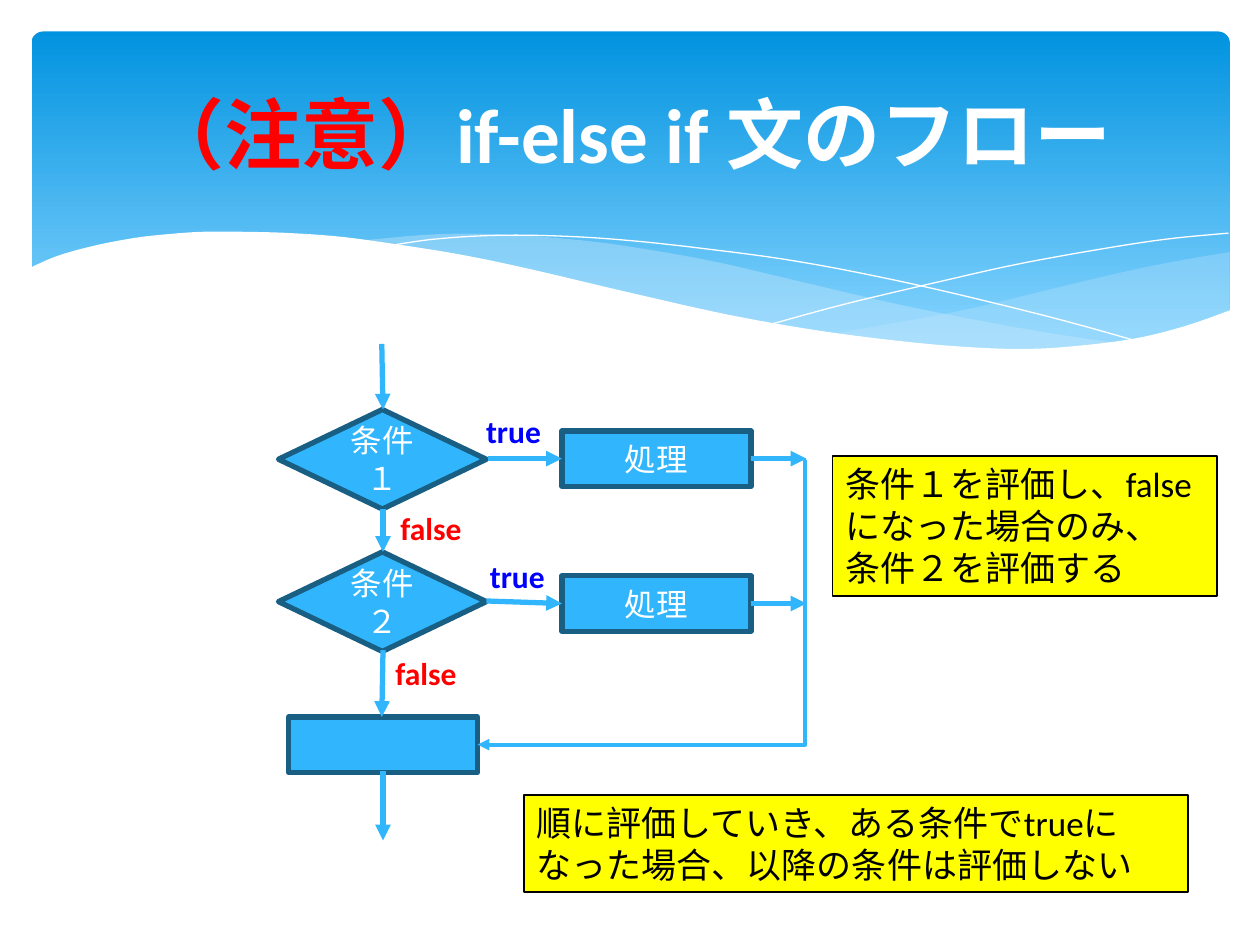
from dataclasses import dataclass
from typing import Optional

from lxml.etree import SubElement
from pptx import Presentation
from pptx.dml.color import RGBColor
from pptx.enum.shapes import MSO_CONNECTOR, MSO_SHAPE
from pptx.enum.text import MSO_ANCHOR, MSO_AUTO_SIZE, PP_ALIGN
from pptx.oxml.ns import qn
from pptx.util import Pt

PX = 9144
COLORS = {
    "sky_top": "0293E0", "sky_bottom": "83D3FE", "mist": "C6E7FC",
    "white": "FFFFFF", "black": "000000", "node": "31B6FD",
    "edge": "195F84", "true": "0000FF", "false": "FF0000", "note": "FFFF00",
}


@dataclass
class Wave:
    edges: list
    fill: Optional[str] = None
    alpha: int = 100


@dataclass
class Node:
    kind: MSO_SHAPE
    x: int
    y: int
    w: int
    h: int
    text: str = ""


@dataclass
class Arrow:
    x1: int
    y1: int
    x2: int
    y2: int
    width: float = 3
    bent: bool = False


@dataclass
class Box:
    x: int
    y: int
    w: int
    h: int
    text: str
    size: int = 18
    color: str = "black"
    note: bool = False


WAVES = [
    Wave([[(976, 200), (935, 207), (891, 216), (832, 230), (779, 243), (729, 253), (661, 265)],
          [(661, 265), (705, 271), (757, 276), (803, 278), (854, 276), (897, 270), (935, 262), (976, 247)]],
         "mist", 29),
    Wave([[(893, 273), (837, 265), (775, 254), (706, 240), (629, 222), (569, 208), (514, 198),
           (464, 191), (399, 186), (344, 186), (286, 191)],
          [(286, 191), (342, 199), (404, 211), (449, 222), (530, 240), (601, 255), (665, 266),
           (722, 274), (773, 278), (818, 279), (857, 277), (893, 273)]],
         "mist", 40),
    Wave([[(309, 195), (343, 190), (387, 187), (433, 187), (489, 190), (556, 197), (636, 208),
           (727, 226), (831, 251), (907, 272)]]),
    Wave([[(613, 257), (672, 241), (748, 223), (806, 210), (866, 199), (924, 190), (975, 185)]]),
    Wave([[(977, 246), (940, 259), (899, 269), (850, 275), (809, 277), (761, 275), (708, 270),
           (647, 262), (579, 250), (503, 233), (418, 213), (365, 202), (315, 194), (271, 188),
           (230, 185), (193, 184), (161, 184), (132, 186), (106, 189), (75, 195), (46, 203), (23, 213)],
          [(23, 329), (977, 329)]],
         "white"),
]

DIAMOND, PROCESS = MSO_SHAPE.FLOWCHART_DECISION, MSO_SHAPE.FLOWCHART_PROCESS
NODES = [
    Node(DIAMOND, 221, 325, 165, 79, "条件１"),
    Node(DIAMOND, 221, 438, 165, 79, "条件２"),
    Node(PROCESS, 446, 342, 150, 44, "処理"),
    Node(PROCESS, 446, 457, 150, 44, "処理"),
    Node(PROCESS, 229, 569, 150, 44),
]
ARROWS = [
    Arrow(303, 273, 304, 325),
    Arrow(304, 404, 304, 438),
    Arrow(304, 516, 303, 569),
    Arrow(304, 612, 304, 667),
    Arrow(387, 364, 446, 364),
    Arrow(386, 477, 446, 479),
    Arrow(596, 364, 640, 364),
    Arrow(596, 479, 640, 479),
    Arrow(640, 365, 379, 591, 2.25, True),
]
BOXES = [
    Box(376, 322, 66, 40, "true", color="true"),
    Box(379, 437, 66, 40, "true", color="true"),
    Box(308, 399, 72, 40, "false", color="false"),
    Box(304, 514, 72, 40, "false", color="false"),
    Box(661, 362, 305, 111, "条件１を評価し、falseになった場合のみ、\n条件２を評価する", 20, note=True),
    Box(416, 631, 527, 77, "順に評価していき、ある条件でtrueになった場合、以降の条件は評価しない", 20, note=True),
]


def rgb(name: str) -> RGBColor:
    return RGBColor.from_string(COLORS[name])


def px(*values: int) -> list:
    return [v * PX for v in values]


def style_run(r, size: int, color: str, bold: bool = False) -> None:
    r.font.size = Pt(size)
    r.font.bold = bold
    r.font.color.rgb = rgb(color)
    r.font.name = "Calibri"
    SubElement(r.font._element, qn("a:ea"), typeface="Noto Sans CJK JP")


def smooth(points: list, steps: int = 6) -> list:
    padded = [points[0], *points, points[-1]]
    curve = [points[0]]
    for a, b, c, d in zip(padded, padded[1:], padded[2:], padded[3:]):
        for i in range(1, steps + 1):
            t = i / steps
            curve.append(tuple(
                (2 * q + (r - p) * t + (2 * p - 5 * q + 4 * r - s) * t ** 2
                 + (3 * q - p - 3 * r + s) * t ** 3) / 2
                for p, q, r, s in zip(a, b, c, d)))
    return curve


def draw_wave(s, wave: Wave) -> None:
    points = [px(*point) for edge in wave.edges for point in smooth(edge)]
    fb = s.shapes.build_freeform(*points[0], scale=1.0)
    fb.add_line_segments(points[1:], close=wave.fill is not None)
    sp = fb.convert_to_shape()
    sp.shadow.inherit = False
    if wave.fill is None:
        sp.fill.background()
        sp.line.color.rgb = rgb("white")
        sp.line.width = Pt(0)
        return
    sp.line.fill.background()
    sp.fill.solid()
    sp.fill.fore_color.rgb = rgb(wave.fill)
    if wave.alpha < 100:
        color = sp.element.spPr.find(qn("a:solidFill"))[0]
        SubElement(color, qn("a:alpha"), val=str(wave.alpha * 1000))


def draw_banner(s) -> None:
    sp = s.shapes.add_shape(MSO_SHAPE.ROUNDED_RECTANGLE, *px(25, 25, 951, 270))
    sp.adjustments[0] = 0.034
    sp.shadow.inherit = False
    sp.line.fill.background()
    sp.fill.gradient()
    sp.fill.gradient_angle = 270
    for stop, position, color in zip(sp.fill.gradient_stops, (0, 0.9), ("sky_top", "sky_bottom")):
        stop.position = position
        stop.color.rgb = rgb(color)
    for wave in WAVES:
        draw_wave(s, wave)


def draw_title(s) -> None:
    title = s.shapes.title
    title.element.getparent().append(title.element)
    title.left, title.top, title.width, title.height = px(50, 37, 900, 137)
    tf = title.text_frame
    tf.vertical_anchor = MSO_ANCHOR.MIDDLE
    p = tf.paragraphs[0]
    p.alignment = PP_ALIGN.CENTER
    for text, color in (("（注意）", "false"), ("if-else if 文のフロー", "white")):
        r = p.add_run()
        r.text = text
        style_run(r, 44, color, True)


def draw_node(s, node: Node) -> None:
    sp = s.shapes.add_shape(node.kind, *px(node.x, node.y, node.w, node.h))
    sp.shadow.inherit = False
    sp.fill.solid()
    sp.fill.fore_color.rgb = rgb("node")
    sp.line.color.rgb = rgb("edge")
    sp.line.width = Pt(3)
    if node.text:
        tf = sp.text_frame
        tf.text = node.text
        tf.vertical_anchor = MSO_ANCHOR.MIDDLE
        tf.paragraphs[0].alignment = PP_ALIGN.CENTER
        style_run(tf.paragraphs[0].runs[0], 18, "white")


def draw_arrow(s, arrow: Arrow) -> None:
    kind = MSO_CONNECTOR.ELBOW if arrow.bent else MSO_CONNECTOR.STRAIGHT
    c = s.shapes.add_connector(kind, *px(arrow.x1, arrow.y1, arrow.x2, arrow.y2))
    c.line.color.rgb = rgb("node")
    c.line.width = Pt(arrow.width)
    spPr = c.element.spPr
    SubElement(spPr.find(qn("a:ln")), qn("a:tailEnd"), type="triangle")
    SubElement(spPr, qn("a:effectLst"))
    if arrow.bent:
        guides = spPr.find(qn("a:prstGeom")).find(qn("a:avLst"))
        SubElement(guides, qn("a:gd"), name="adj1", fmla="val 300")


def draw_box(s, box: Box) -> None:
    sp = s.shapes.add_textbox(*px(box.x, box.y, box.w, box.h))
    tf = sp.text_frame
    tf.text = box.text
    tf.word_wrap = box.note
    tf.auto_size = MSO_AUTO_SIZE.SHAPE_TO_FIT_TEXT
    for p in tf.paragraphs:
        style_run(p.runs[0], box.size, box.color, not box.note)
    if box.note:
        sp.fill.solid()
        sp.fill.fore_color.rgb = rgb("note")
        sp.line.color.rgb = rgb("black")
        sp.line.width = Pt(0.75)


def main() -> None:
    prs = Presentation()
    prs.slide_width, prs.slide_height = px(1000, 750)
    s = prs.slides.add_slide(prs.slide_layouts[5])
    draw_banner(s)
    draw_title(s)
    for items, draw in ((NODES, draw_node), (ARROWS, draw_arrow), (BOXES, draw_box)):
        for item in items:
            draw(s, item)
    prs.save("out.pptx")


if __name__ == "__main__":
    main()
